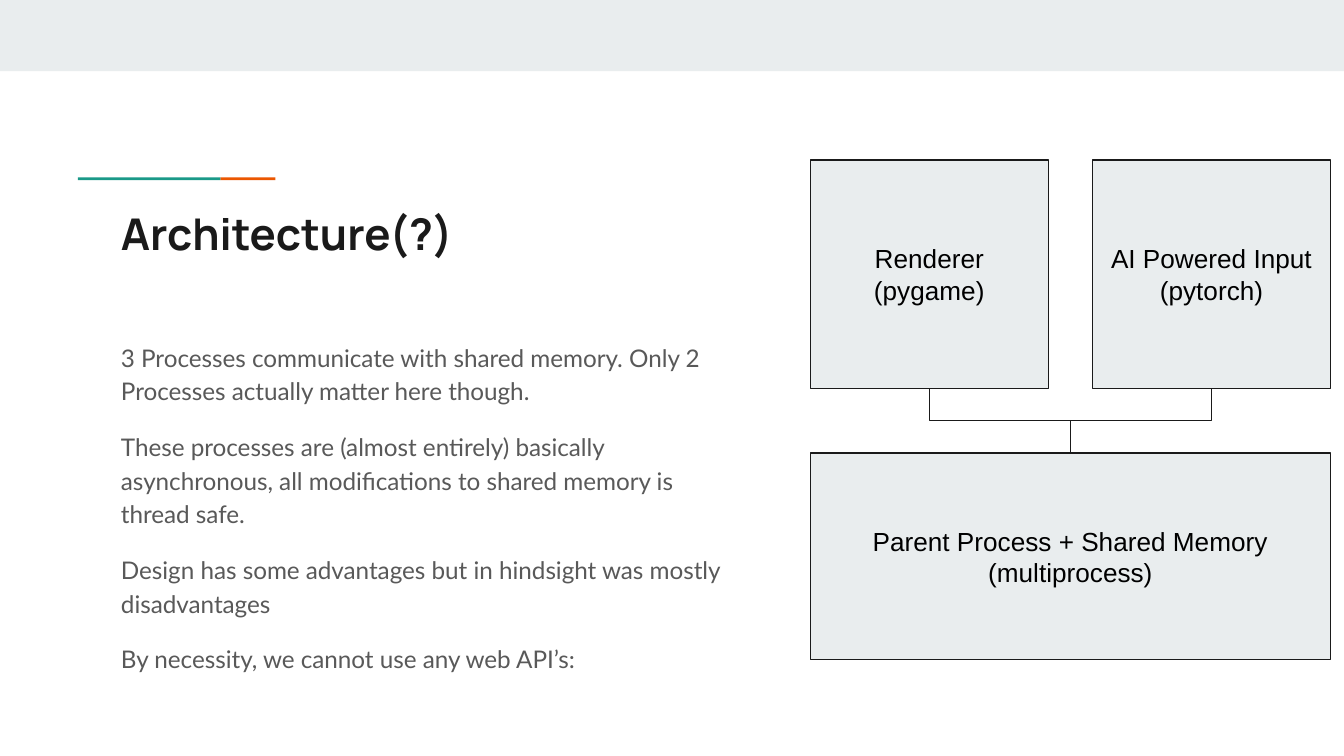
import pptx
import pptx.util
import pptx.dml.color
import pptx.enum.shapes
import pptx.enum.text
import pptx.oxml.ns
import lxml.etree
from dataclasses import dataclass

Inches = pptx.util.Inches
Pt = pptx.util.Pt
SHAPES = pptx.enum.shapes.MSO_SHAPE
ALIGN = pptx.enum.text.PP_ALIGN
ANCHOR = pptx.enum.text.MSO_ANCHOR


@dataclass(frozen=True)
class Theme:
    panel: str = "E9EDEE"
    ink: str = "1A1A1A"
    teal: str = "1A9988"
    orange: str = "EB5600"
    body_color: str = "595959"
    label_color: str = "000000"
    title_font: str = "Manrope"
    body_font: str = "Lato"
    label_font: str = "Arial"
    title_size: float = 23.4
    body_size: float = 13
    label_size: float = 14
    line_width: float = 0.75


THEME = Theme()

TITLE = "Architecture(?)"
POINTS = [
    "3 Processes communicate with shared memory. Only 2 Processes actually matter here though.",
    "These processes are (almost entirely) basically asynchronous, all modifications to shared memory is thread safe.",
    "Design has some advantages but in hindsight was mostly disadvantages",
    "By necessity, we cannot use any web API’s:",
]
CHILDREN = [("Renderer", "(pygame)"), ("AI Powered Input", "(pytorch)")]
PARENT = ("Parent Process + Shared Memory", "(multiprocess)")

# Page and diagram layout, in inches
PAGE_WIDTH = 10
PAGE_HEIGHT = PAGE_WIDTH * 9 / 16
LEFT, TOP = 6.03, 1.19
CHILD_WIDTH, CHILD_HEIGHT, CHILD_GAP = 1.77, 1.7, 0.33
PARENT_TOP, PARENT_HEIGHT = 3.37, 1.54
DIAGRAM_WIDTH = len(CHILDREN) * (CHILD_WIDTH + CHILD_GAP) - CHILD_GAP


def rgb(color):
    return pptx.dml.color.RGBColor.from_string(color)


def place(shape, left, top, width, height):
    shape.left, shape.top = Inches(left), Inches(top)
    shape.width, shape.height = Inches(width), Inches(height)


def write(shape, lines, font, size, color, bold=False, align=ALIGN.LEFT, anchor=ANCHOR.TOP):
    frame = shape.text_frame
    frame.text = "\n".join(lines)
    frame.word_wrap = True
    frame.auto_size = pptx.enum.text.MSO_AUTO_SIZE.NONE
    frame.vertical_anchor = anchor
    frame.margin_left = frame.margin_right = Inches(0.1)
    frame.margin_top = frame.margin_bottom = Inches(0.1)
    for para in frame.paragraphs:
        para.alignment = align
        para.space_before = Pt(0)
        for span in para.runs:
            span.font.name = font
            span.font.size = Pt(size)
            span.font.bold = bold
            span.font.color.rgb = rgb(color)


def remove_bullet(para):
    properties = para._p.get_or_add_pPr()
    properties.set("marL", "0")
    properties.set("indent", "0")
    lxml.etree.SubElement(properties, pptx.oxml.ns.qn("a:buNone"))


def add_rectangle(page, left, top, width, height, fill):
    box = page.shapes.add_shape(
        SHAPES.RECTANGLE, Inches(left), Inches(top), Inches(width), Inches(height))
    box.shadow.inherit = False
    box.fill.solid()
    box.fill.fore_color.rgb = rgb(fill)
    box.line.fill.background()
    return box


def add_process(page, left, top, width, height, lines):
    box = add_rectangle(page, left, top, width, height, THEME.panel)
    box.line.color.rgb = rgb(THEME.ink)
    box.line.width = Pt(THEME.line_width)
    write(box, lines, THEME.label_font, THEME.label_size, THEME.label_color,
          align=ALIGN.CENTER, anchor=ANCHOR.MIDDLE)


def add_vertical_elbow(page, start_x, start_y, end_x, end_y):
    """Elbow that leaves downwards: laid out sideways, then turned 90 degrees."""
    middle_x, middle_y = (start_x + end_x) / 2, (start_y + end_y) / 2
    half_drop, half_run = (end_y - start_y) / 2, (start_x - end_x) / 2
    link = page.shapes.add_connector(
        pptx.enum.shapes.MSO_CONNECTOR.ELBOW,
        Inches(middle_x - half_drop), Inches(middle_y - half_run),
        Inches(middle_x + half_drop), Inches(middle_y + half_run))
    link.line.color.rgb = rgb(THEME.ink)
    link.line.width = Pt(THEME.line_width)
    properties = link._element.spPr
    properties.find(pptx.oxml.ns.qn("a:xfrm")).set("rot", str(90 * 60000))
    lxml.etree.SubElement(properties, pptx.oxml.ns.qn("a:effectLst"))


def add_text(page):
    title, body = page.shapes.title, page.placeholders[1]
    place(title, 0.8, 1.44, 4.39, 0.59)
    write(title, [TITLE], THEME.title_font, THEME.title_size, THEME.ink, bold=True)
    place(body, 0.8, 2.42, 4.7, 3.18)
    write(body, POINTS, THEME.body_font, THEME.body_size, THEME.body_color)
    for number, para in enumerate(body.text_frame.paragraphs):
        para.line_spacing = 1.15
        para.space_before = Pt(12 if number else 0)
        remove_bullet(para)


def add_diagram(page):
    parent_center = LEFT + DIAGRAM_WIDTH / 2
    add_process(page, LEFT, PARENT_TOP, DIAGRAM_WIDTH, PARENT_HEIGHT, PARENT)
    for number, lines in enumerate(CHILDREN):
        left = LEFT + number * (CHILD_WIDTH + CHILD_GAP)
        add_process(page, left, TOP, CHILD_WIDTH, CHILD_HEIGHT, lines)
        add_vertical_elbow(page, left + CHILD_WIDTH / 2, TOP + CHILD_HEIGHT,
                           parent_center, PARENT_TOP)


def main():
    deck = pptx.Presentation()
    deck.slide_width, deck.slide_height = Inches(PAGE_WIDTH), Inches(PAGE_HEIGHT)
    page = deck.slides.add_slide(deck.slide_layouts[1])
    add_rectangle(page, 0, 0, PAGE_WIDTH, 0.53, THEME.panel)
    add_rectangle(page, 1.64, 1.32, 0.41, 0.02, THEME.orange)
    add_rectangle(page, 0.58, 1.32, 1.06, 0.02, THEME.teal)
    add_text(page)
    add_diagram(page)
    deck.save("out.pptx")


if __name__ == "__main__":
    main()
